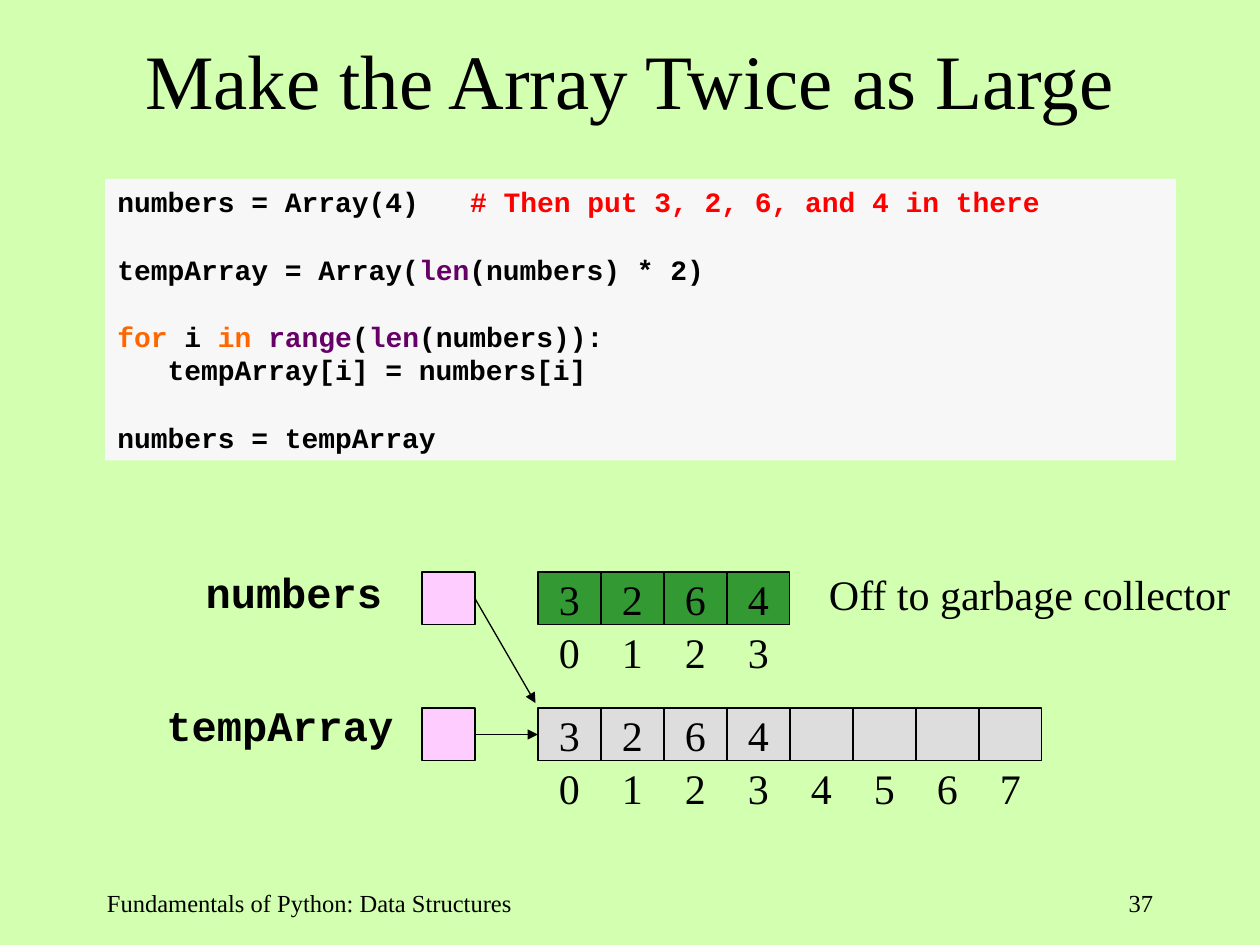
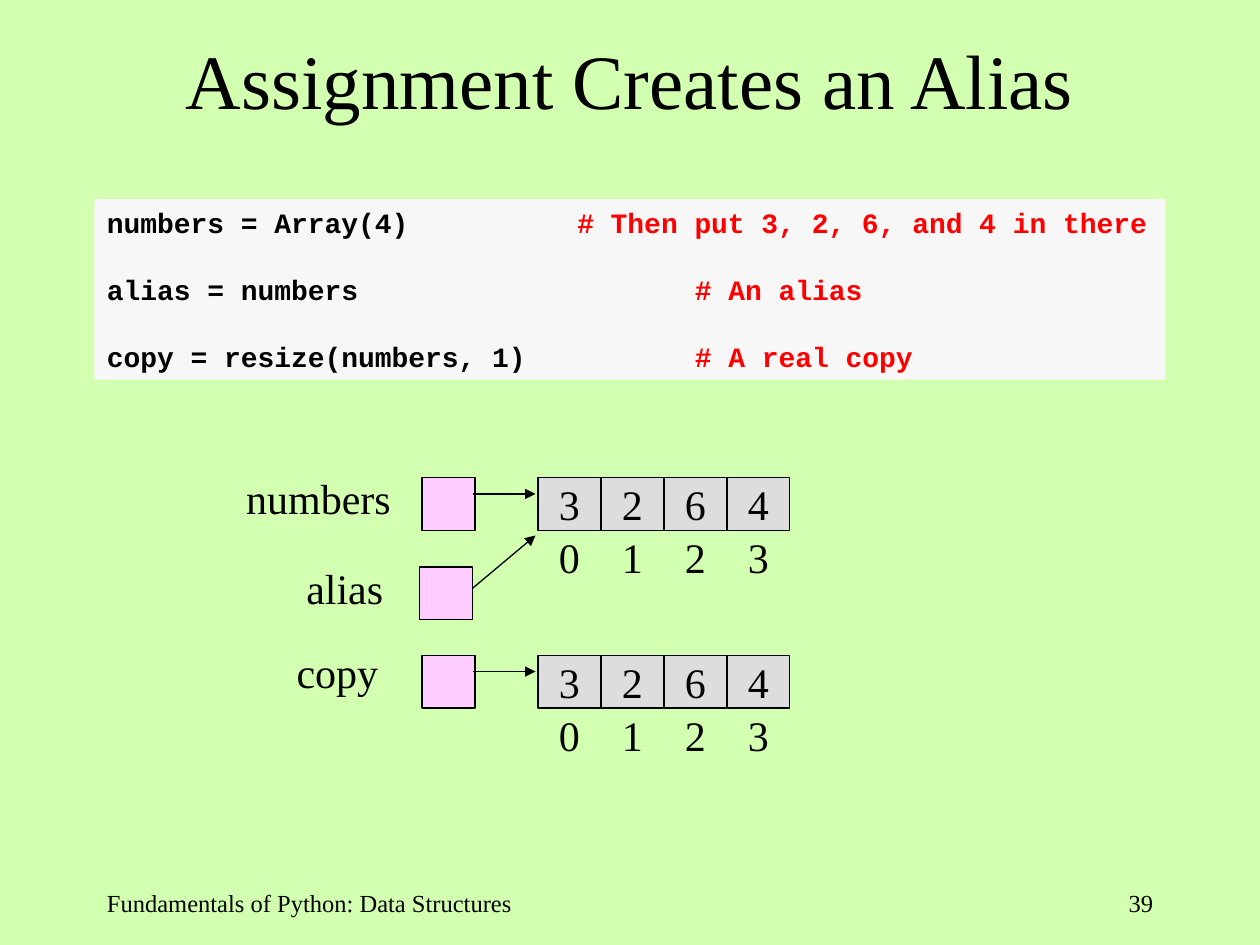
from lxml import etree
from pptx import Presentation
from pptx.dml.color import RGBColor
from pptx.enum.shapes import MSO_CONNECTOR, MSO_SHAPE
from pptx.enum.text import MSO_ANCHOR, PP_ALIGN
from pptx.oxml.ns import qn
from pptx.util import Pt

RECT, STRAIGHT = MSO_SHAPE.RECTANGLE, MSO_CONNECTOR.STRAIGHT
LEFT, CENTER, RIGHT = PP_ALIGN.LEFT, PP_ALIGN.CENTER, PP_ALIGN.RIGHT
TOP, MIDDLE = MSO_ANCHOR.TOP, MSO_ANCHOR.MIDDLE
SIDE_LEFT, SIDE_RIGHT = 1, 3

SERIF, MONO = "Times New Roman", "Courier New"
BLACK, BACKGROUND, CODE_FILL = "000000", "D2FFB0", "F7F7F7"
COMMENT, BUILTIN, KEYWORD = "FF0000", "660066", "FF6600"
POINTER_FILL, LIVE_FILL, GARBAGE_FILL = "FFCCFF", "DDDDDD", "339933"

FOOTER = "Fundamentals of Python: Data Structures"
CODE_SIZE, CODE_CHAR, CODE_LINE = 16, 9.6, 19.2
POINTER_LEFT, ARRAY_LEFT = 241.2, 307.4
CELL_WIDTH, CELL_HEIGHT = 36, 30.2
INDEX_DROP, TEXT_HEIGHT, LABEL_WIDTH = 27.4, 36, 150
VALUES = ["3", "2", "6", "4"]


def rgb(hex_color):
    return RGBColor.from_string(hex_color)


def points(*lengths):
    return [Pt(length) for length in lengths]


def write(frame, text, font=SERIF, size=24, color=BLACK, bold=False,
          align=LEFT, anchor=TOP, wrap=True):
    frame.word_wrap = wrap
    frame.vertical_anchor = anchor
    paragraph = frame.paragraphs[0]
    paragraph.alignment = align
    add_run(paragraph, text, font, size, color, bold)


def add_run(paragraph, text, font, size, color, bold):
    run = paragraph.add_run()
    run.text = text
    run.font.name, run.font.size, run.font.bold = font, Pt(size), bold
    run.font.color.rgb = rgb(color)


def add_text(slide, box, text, **text_format):
    write(slide.shapes.add_textbox(*points(*box)).text_frame, text, **text_format)


def add_box(slide, box, fill, outlined=True):
    rect = slide.shapes.add_shape(RECT, *points(*box))
    rect.shadow.inherit = False
    rect.fill.solid()
    rect.fill.fore_color.rgb = rgb(fill)
    if outlined:
        rect.line.color.rgb = rgb(BLACK)
        rect.line.width = Pt(0.75)
    else:
        rect.line.fill.background()
    return rect


def add_arrow(slide, start, end, source=None, target=None):
    """Draw an arrow, joined to the source's right and target's left if given."""
    arrow = slide.shapes.add_connector(STRAIGHT, *points(*start, *end))
    if source is not None:
        arrow.begin_connect(source, SIDE_RIGHT)
    if target is not None:
        arrow.end_connect(target, SIDE_LEFT)
    arrow.line.color.rgb = rgb(BLACK)
    arrow.line.width = Pt(0.75)
    etree.SubElement(arrow.line._get_or_add_ln(), qn("a:tailEnd"), type="triangle")
    etree.SubElement(arrow._element.spPr, qn("a:effectLst"))


def add_frame(prs, title, number):
    """Add a slide with the title and footer that all slides share."""
    slide = prs.slides.add_slide(prs.slide_layouts[6])
    add_text(slide, (54, 0, 612, 90), title, size=44, align=CENTER, anchor=MIDDLE)
    add_text(slide, (54, 504, 276, 36), FOOTER, size=14)
    add_text(slide, (516, 504, 150, 36), number, size=14, align=RIGHT)
    return slide


def add_code(slide, box, blocks, comment_columns=()):
    """Write blocks of lines, one line apart; a tab leads to a comment column."""
    frame = add_box(slide, box, CODE_FILL, outlined=False).text_frame
    frame.word_wrap = True
    frame.vertical_anchor = TOP
    paragraph = None
    for block in blocks:
        for line_no, line in enumerate(block):
            starts_block = paragraph is not None and line_no == 0
            paragraph = frame.add_paragraph() if paragraph else frame.paragraphs[0]
            tabs = etree.SubElement(paragraph._p.get_or_add_pPr(), qn("a:tabLst"))
            for column in comment_columns:
                etree.SubElement(tabs, qn("a:tab"),
                                 pos=str(int(Pt(column * CODE_CHAR))), algn="l")
            paragraph.alignment = LEFT
            paragraph.line_spacing = Pt(CODE_LINE)
            if starts_block:
                paragraph.space_before = Pt(CODE_LINE)
            for text, color in line:
                add_run(paragraph, text, MONO, CODE_SIZE, color, True)


def add_variable(slide, top, name, label_right, label_top, left=POINTER_LEFT,
                 **label_format):
    """Add a variable's name and its pointer box; return the pointer box."""
    add_text(slide, (label_right - LABEL_WIDTH, label_top, LABEL_WIDTH, TEXT_HEIGHT),
             name, align=RIGHT, **label_format)
    return add_box(slide, (left, top, CELL_HEIGHT, CELL_HEIGHT), POINTER_FILL)


def add_array(slide, top, capacity=4, fill=LIVE_FILL):
    """Add a row of cells with their indexes; return the cells."""
    cells = []
    for index in range(capacity):
        left = ARRAY_LEFT + index * CELL_WIDTH
        cell = add_box(slide, (left, top, CELL_WIDTH, CELL_HEIGHT), fill)
        if index < len(VALUES):
            write(cell.text_frame, VALUES[index], align=CENTER, anchor=MIDDLE,
                  wrap=False)
        add_text(slide, (left, top + INDEX_DROP, CELL_WIDTH, TEXT_HEIGHT),
                 str(index), align=CENTER)
        cells.append(cell)
    return cells


def build_resize_slide(prs):
    slide = add_frame(prs, "Make the Array Twice as Large", "37")
    add_code(slide, (60, 102.2, 612, 161), [
        [[("numbers = Array(4)\t", BLACK),
          ("# Then put 3, 2, 6, and 4 in there", COMMENT)]],
        [[("tempArray = Array(", BLACK), ("len", BUILTIN),
          ("(numbers) * 2)", BLACK)]],
        [[("for", KEYWORD), (" i ", BLACK), ("in ", KEYWORD), ("range", BUILTIN),
          ("(", BLACK), ("len", BUILTIN), ("(numbers)):", BLACK)],
         [("   tempArray[i] = numbers[i]", BLACK)]],
        [[("numbers = tempArray", BLACK)]],
    ], comment_columns=[21])

    numbers_top, temp_top = 326.9, 404.6
    numbers = add_variable(slide, numbers_top, "numbers", 225.4, 320.4,
                           font=MONO, bold=True)
    temp = add_variable(slide, temp_top, "tempArray", 231.8, 396,
                        font=MONO, bold=True)
    add_array(slide, numbers_top, fill=GARBAGE_FILL)
    temp_cells = add_array(slide, temp_top, capacity=8)
    add_text(slide, (466.6, 321.1, 252, TEXT_HEIGHT), "Off to garbage collector")
    add_arrow(slide, (271.4, 342), (306, 401.8), source=numbers)
    add_arrow(slide, (271.4, 419.7), (ARRAY_LEFT, 419.7), source=temp,
              target=temp_cells[0])


def build_alias_slide(prs):
    slide = add_frame(prs, "Assignment Creates an Alias", "39")
    add_code(slide, (54, 113.8, 612, 103.2), [
        [[("numbers = Array(4)\t", BLACK),
          ("# Then put 3, 2, 6, and 4 in there", COMMENT)]],
        [[("alias = numbers\t\t", BLACK), ("# An alias", COMMENT)]],
        [[("copy = resize(numbers, 1)\t\t", BLACK), ("# A real copy", COMMENT)]],
    ], comment_columns=[28, 35])

    numbers_top, alias_top, copy_top = 272.9, 324, 374.4
    add_variable(slide, numbers_top, "numbers", 230.4, 266.4)
    add_variable(slide, alias_top, "alias", 226.1, 318.2, left=239.8)
    add_variable(slide, copy_top, "copy", 223.2, 365.8)
    for top in (numbers_top, copy_top):
        add_array(slide, top)
        add_arrow(slide, (270, top + 9.4), (306, top + 9.4))
    add_arrow(slide, (270, 336.2), (306, 306))


def main():
    prs = Presentation()
    prs.slide_width, prs.slide_height = points(720, 540)
    background = prs.slide_master.background.fill
    background.solid()
    background.fore_color.rgb = rgb(BACKGROUND)
    build_resize_slide(prs)
    build_alias_slide(prs)
    prs.save("out.pptx")


if __name__ == "__main__":
    main()
